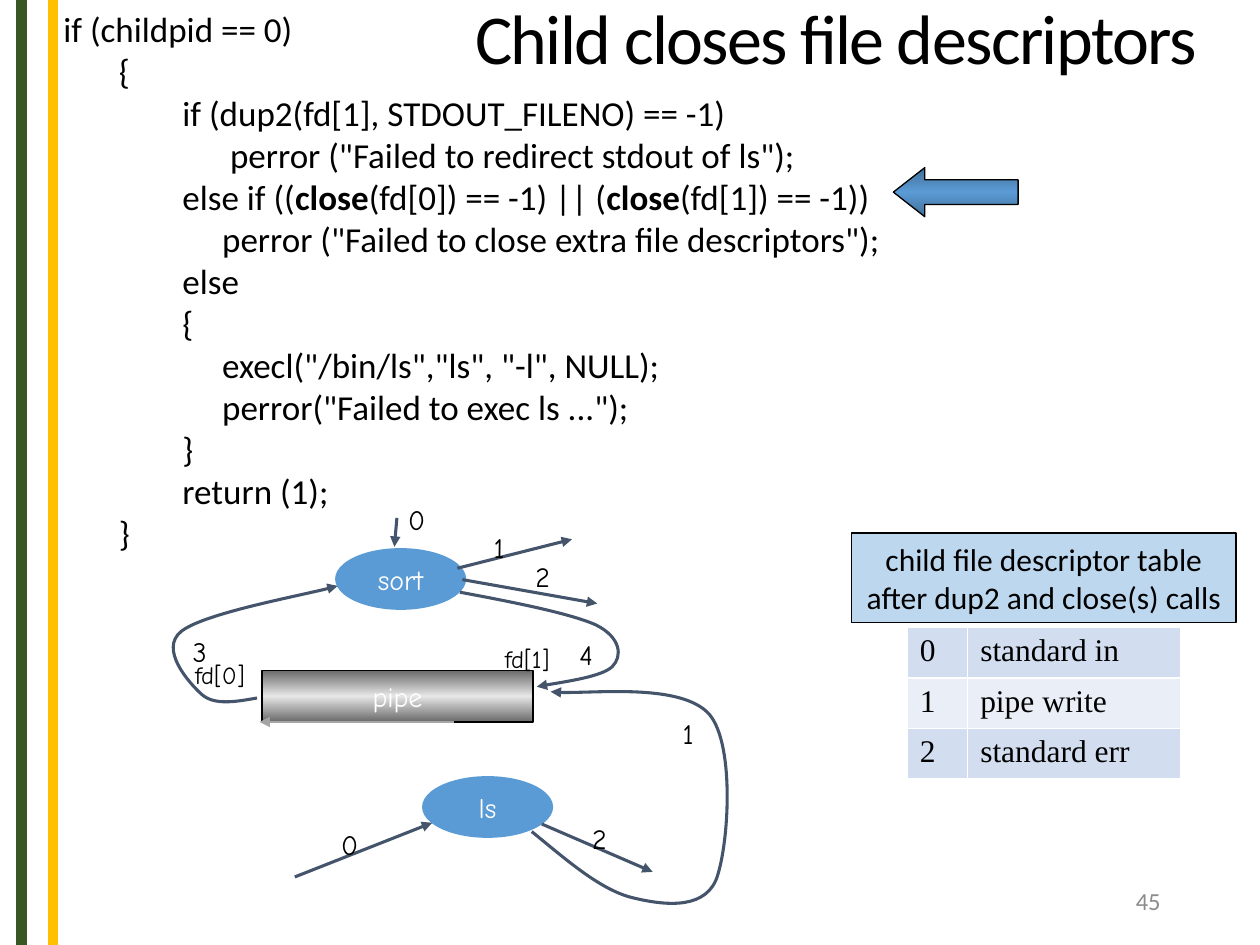
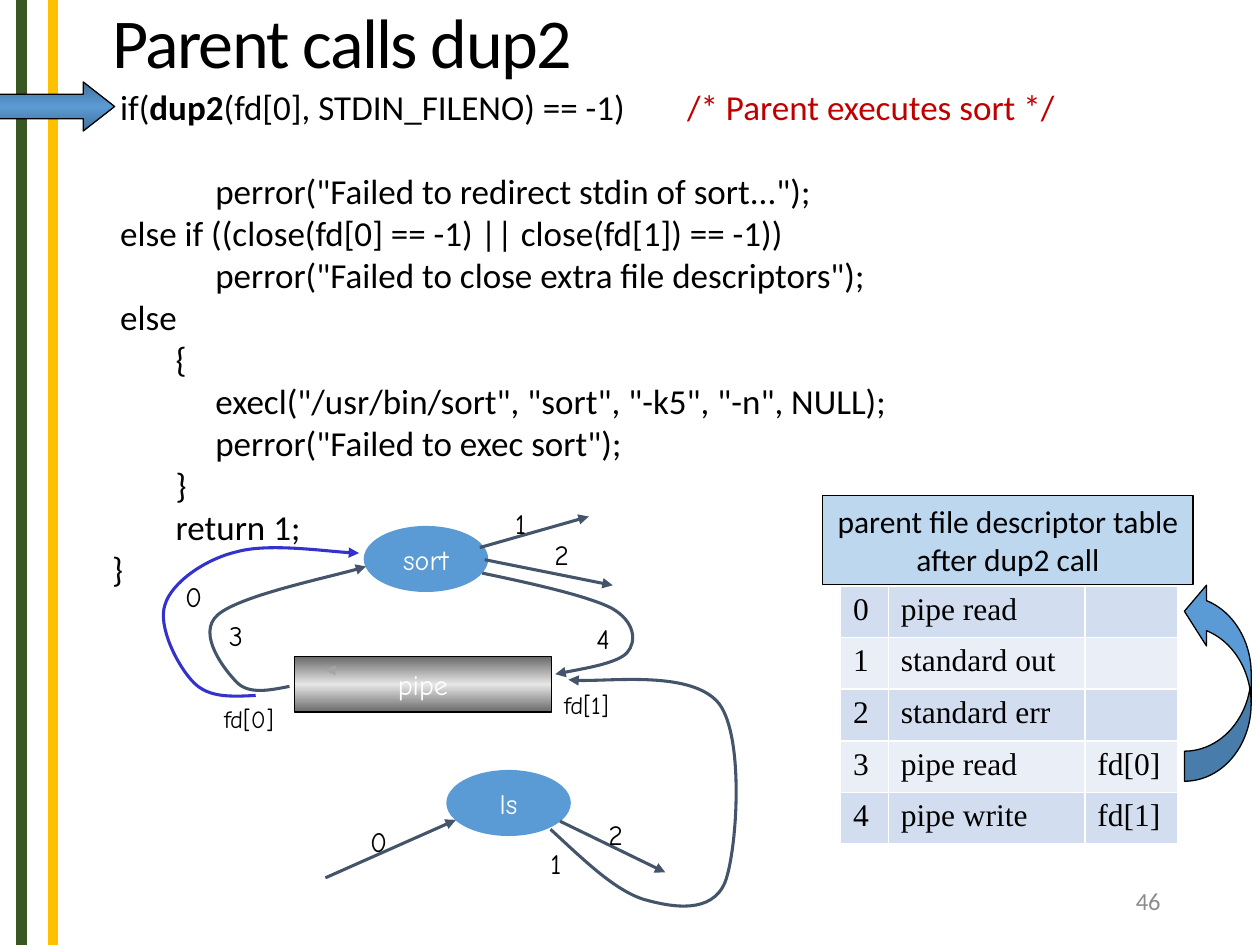
"""Build two slides on how child and parent rewire file descriptors with dup2."""
from copy import deepcopy

from lxml import etree
from pptx import Presentation
from pptx import util as u
from pptx.dml.color import RGBColor
from pptx.enum import shapes, text
from pptx.oxml.ns import qn

BLACK, WHITE, BLUE, SLATE, GREY = "000000", "FFFFFF", "5B9BD5", "44546A", "A5A5A5"
STEEL, PIPE_DARK, PIPE_LIGHT = "416F98", "6B6A6A", "E7E6E6"
CAPTION_FILL, COMMENT_RED, NUMBER_GREY, READ_BLUE = "BDD7EE", "C00000", "8C8C8C", "3333CC"
ROW_FILLS = ["D2DEEF", "EAEFF7"]
BANDS = [(0.17, "385723"), (0.42, "FFC000")]
SANS, HAND, SERIF = "Calibri", "Comic Neue", "Times New Roman"
INDENT_UNIT = 0.063
CODE_LINE = 24

# Diagram parts common to both slides, in the coordinates of the first one.
PROCESSES = [("sort", 2.66, 4.35), ("ls", 3.35, 6.16)]
PROCESS_SIZE = (1.04, 0.49)
PIPE = (2.08, 5.32, 2.15, 0.41)
STREAMS = [
    ((2.34, 6.96), (3.43, 6.53)),
    ((4.3, 6.54), (5.18, 6.92)),
    ((3.63, 4.51), (4.54, 4.28)),
    ((3.67, 4.6), (4.74, 4.79)),
]
PIPE_STREAMS = [
    [(2.04, 5.54), (1.87, 5.57), (1.7, 5.6), (1.6, 5.51), (1.5, 5.42), (1.26, 5.15),
     (1.44, 5.01), (1.62, 4.87), (2.48, 4.71), (2.68, 4.65)],
    [(3.65, 4.7), (4.08, 4.78), (4.53, 4.87), (4.73, 4.96), (4.93, 5.06), (4.94, 5.21),
     (4.86, 5.29), (4.78, 5.37), (4.36, 5.43), (4.26, 5.45)],
    [(4.22, 6.6), (4.49, 6.82), (4.75, 7.05), (5, 7.12), (5.24, 7.18), (5.57, 7.23),
     (5.68, 6.99), (5.78, 6.75), (5.84, 5.92), (5.63, 5.67), (5.41, 5.42), (4.58, 5.52),
     (4.37, 5.49)],
]
STREAM_NUMBERS = [("0", 2.61, 6.52), ("2", 4.6, 6.47), ("3", 1.43, 4.99),
                  ("1", 3.82, 4.16), ("2", 4.15, 4.39), ("4", 4.5, 5.01)]

# Code lines are (indent in characters, text); backticks enclose bold words.
SLIDES = [
    {
        "title": "Child closes file descriptors", "title_at": (3.67, -0.28, 6.33, 1.25),
        "code_at": (0.34, 0.01, 7, 4.81),
        "code": [
            (1, "if (childpid == 0)"),
            (8, "{"),
            (16, "if (dup2(fd[1], STDOUT_FILENO) == -1)"),
            (22, 'perror ("Failed to redirect stdout of ls");'),
            (16, "else if ((`close`(fd[0]) == -1) || (`close`(fd[1]) == -1))"),
            (21, 'perror ("Failed to close extra file descriptors");'),
            (16, "else"),
            (16, "{"),
            (21, 'execl("/bin/ls","ls", "-l", NULL);'),
            (21, 'perror("Failed to exec ls ...");'),
            (16, "}"),
            (16, "return (1);"),
            (8, "}"),
        ],
        "gap_before": None,
        "marker_at": (7.09, 1.33, 0.99, 0.39), "marker_turn": 0,
        "caption": "child file descriptor table\nafter dup2 and close(s) calls",
        "caption_at": (6.76, 4.23, 3.05, 0.71),
        "descriptors": [("0", "standard in"), ("1", "pipe write"), ("2", "standard err")],
        "table_at": (7.2, 4.98), "columns": [0.48, 1.69], "row": 0.4,
        "scale": (1, 1), "shift": (0, 0),
        "numbers": [("0", 3.14, 3.94), ("1", 5.32, 5.64)],
        "ends": [("fd[0]", 1.45, 5.19), ("fd[1]", 3.91, 5.06)],
        "inputs": [((3.15, 4.11), (3.13, 4.34))],
        "flow": ((3.6, 5.73), (2.06, 5.73)),
        "redirected": [], "copy_at": None, "number": "45",
    },
    {
        "title": "Parent calls dup2", "title_at": (0.79, -0.25, 7.71, 1.25),
        "code_at": (0.79, 0.63, 8.33, 4.1),
        "code": [
            (1, "if(`dup2`(fd[0], STDIN_FILENO) == -1)`\t/* Parent executes sort */"),
            (13, 'perror("Failed to redirect stdin of sort...");'),
            (1, "else if ((close(fd[0] == -1) || close(fd[1]) == -1))"),
            (13, 'perror("Failed to close extra file descriptors");'),
            (1, "else"),
            (8, "{"),
            (13, 'execl("/usr/bin/sort", "sort", "-k5", "-n", NULL);'),
            (13, 'perror("Failed to exec sort");'),
            (8, "}"),
            (8, "return 1;"),
            (0, "}"),
        ],
        "gap_before": 1,
        "marker_at": (-0.08, 0.65, 0.99, 0.39), "marker_turn": 180,
        "caption": "parent file descriptor table\nafter dup2 call",
        "caption_at": (6.53, 3.93, 2.94, 0.71),
        "descriptors": [("0", "pipe read", ""), ("1", "standard out", ""),
                        ("2", "standard err", ""), ("3", "pipe read", "fd[0]"),
                        ("4", "pipe write", "fd[1]")],
        "table_at": (6.67, 4.65), "columns": [0.38, 1.56, 0.74], "row": 0.41,
        "scale": (0.95, 1.07), "shift": (0.36, -0.48),
        "numbers": [("0", 1.37, 4.55), ("1", 4.27, 6.67)],
        "ends": [("fd[0]", 1.68, 5.54), ("fd[1]", 4.38, 5.43)],
        "inputs": [],
        "flow": ((4.11, 5.32), (2.58, 5.32)),
        "redirected": [[(2.03, 5.52), (1.84, 5.53), (1.66, 5.54), (1.54, 5.42), (1.41, 5.29),
                        (1.25, 4.97), (1.31, 4.8), (1.36, 4.63), (1.62, 4.44), (1.88, 4.38),
                        (2.13, 4.31), (2.69, 4.39), (2.85, 4.39)]],
        "copy_at": (9.4, 4.61, 0.53, 1.59), "number": "46",
    },
]


def rgb(color):
    return RGBColor.from_string(color)


def inches(values):
    return [u.Inches(value) for value in values]


def place(holder, at):
    holder.left, holder.top, holder.width, holder.height = inches(at)


def style(frame, size, font, color, align=text.PP_ALIGN.LEFT):
    for paragraph in frame.paragraphs:
        paragraph.alignment = align
        for face in [paragraph.font] + [run.font for run in paragraph.runs]:
            face.size, face.name, face.bold = u.Pt(size), font, False
            face.color.rgb = rgb(color)


def add_arrowhead(line_shape):
    etree.SubElement(line_shape._element.spPr.find(qn("a:ln")), qn("a:tailEnd"), type="triangle")


def add_line(slide, start, end, color, width, arrow=True):
    line = slide.shapes.add_connector(shapes.MSO_CONNECTOR.STRAIGHT, *inches(start + end))
    line.line.color.rgb, line.line.width = rgb(color), u.Pt(width)
    etree.SubElement(line._element.spPr, qn("a:effectLst"))
    if arrow:
        add_arrowhead(line)
    return line


def add_curve(slide, points, color):
    start, *rest = [inches(point) for point in points]
    builder = slide.shapes.build_freeform(*start)
    builder.add_line_segments(rest, close=False)
    curve = builder.convert_to_shape()
    segments = list(curve._element.iter(qn("a:lnTo")))
    outline = segments[0].getparent()
    for first in range(0, len(segments), 3):
        bezier = etree.SubElement(outline, qn("a:cubicBezTo"))
        for segment in segments[first:first + 3]:
            bezier.append(segment[0])
            outline.remove(segment)
    curve.fill.background()
    curve.shadow.inherit = False
    curve.line.color.rgb, curve.line.width = rgb(color), u.Pt(1.75)
    add_arrowhead(curve)


def add_block(slide, kind, at, fill, edge=None, outlined=True):
    block = slide.shapes.add_shape(kind, *inches(at))
    block.shadow.inherit = False
    if edge:
        block.fill.gradient()
        block.fill.gradient_angle = 90
        for stop, color in zip(block.fill.gradient_stops, (edge, fill)):
            stop.color.rgb = rgb(color)
        stops = next(block._element.iter(qn("a:gsLst")))
        stops.append(deepcopy(stops[0]))
        for stop, position in zip(block.fill.gradient_stops, (0, 0.5, 1)):
            stop.position = position
    else:
        block.fill.solid()
        block.fill.fore_color.rgb = rgb(fill)
    if outlined:
        block.line.color.rgb, block.line.width = rgb(BLACK), u.Pt(0.75)
    else:
        block.line.fill.background()
    return block


def write_inside(block, words, size, font, color):
    frame = block.text_frame
    frame.text, frame.word_wrap = words, False
    frame.margin_top = frame.margin_bottom = 0
    frame.vertical_anchor = text.MSO_ANCHOR.MIDDLE
    style(frame, size, font, color, text.PP_ALIGN.CENTER)


def add_label(slide, words, x, y, size):
    label = slide.shapes.add_textbox(*inches((x, y, 0.2 + 0.12 * len(words), 0.33)))
    label.text_frame.text, label.text_frame.word_wrap = words, False
    style(label.text_frame, size, HAND, BLACK)


def add_title(slide, content):
    place(slide.shapes.title, content["title_at"])
    frame = slide.shapes.title.text_frame
    frame.text, frame.auto_size = content["title"], text.MSO_AUTO_SIZE.NONE
    frame.vertical_anchor = text.MSO_ANCHOR.MIDDLE
    style(frame, 40, SANS, BLACK)
    frame.paragraphs[0].line_spacing = 0.85
    frame.paragraphs[0].runs[0].font._element.set("spc", "-90")


def add_code(slide, content):
    body = slide.placeholders[1]
    place(body, content["code_at"])
    frame = body.text_frame
    frame.word_wrap, frame.auto_size = True, text.MSO_AUTO_SIZE.NONE
    for index, (indent, line) in enumerate(content["code"]):
        paragraph = frame.add_paragraph() if index else frame.paragraphs[0]
        pieces = line.split("`")
        for piece in pieces:
            paragraph.add_run().text = piece
        paragraph.space_before = u.Pt(CODE_LINE if index == content["gap_before"] else 0)
        properties = paragraph._p.get_or_add_pPr()
        properties.set("marL", str(u.Inches(indent * INDENT_UNIT)))
        properties.set("indent", "0")
        etree.SubElement(properties, qn("a:buNone"))
        if "\t" in line:
            tabs = etree.SubElement(properties, qn("a:tabLst"))
            etree.SubElement(tabs, qn("a:tab"), pos=str(u.Inches(4.36)), algn="l")
    style(frame, 20, SANS, BLACK)
    for paragraph in frame.paragraphs:
        for index, run in enumerate(paragraph.runs):
            if run.text.startswith("\t"):
                run.font.color.rgb = rgb(COMMENT_RED)
            else:
                run.font.bold = index % 2 == 1


def add_diagram(slide, content):
    (scale_x, scale_y), (shift_x, shift_y) = content["scale"], content["shift"]

    def fit(x, y):
        return shift_x + scale_x * x, shift_y + scale_y * y

    def fit_box(x, y, width, height):
        return fit(x, y) + (scale_x * width, scale_y * height)

    pipe = add_block(slide, shapes.MSO_SHAPE.RECTANGLE, fit_box(*PIPE), PIPE_LIGHT, PIPE_DARK)
    write_inside(pipe, "pipe", 16, HAND, WHITE)
    for name, x, y in PROCESSES:
        process = add_block(slide, shapes.MSO_SHAPE.OVAL, fit_box(x, y, *PROCESS_SIZE),
                            BLUE, outlined=False)
        write_inside(process, name, 16, HAND, WHITE)
    for start, end in [(fit(*a), fit(*b)) for a, b in STREAMS] + content["inputs"]:
        add_line(slide, start, end, SLATE, 1.75)
    for points in PIPE_STREAMS:
        add_curve(slide, [fit(*point) for point in points], SLATE)
    for points in content["redirected"]:
        add_curve(slide, points, READ_BLUE)
    for digit, x, y in [(d, *fit(x, y)) for d, x, y in STREAM_NUMBERS] + content["numbers"]:
        add_label(slide, digit, x, y, 16)
    for end, x, y in content["ends"]:
        add_label(slide, end, x, y, 14)
    add_line(slide, *content["flow"], GREY, 0.75)


def add_descriptors(slide, content):
    rows, columns, height = content["descriptors"], content["columns"], content["row"]
    at = content["table_at"] + (sum(columns), height * len(rows))
    table = slide.shapes.add_table(len(rows), len(columns), *inches(at)).table
    table.first_row = False
    for column, width in zip(table.columns, columns):
        column.width = u.Inches(width)
    for index, (row, values) in enumerate(zip(table.rows, rows)):
        row.height = u.Inches(height)
        for cell, value in zip(row.cells, values):
            cell.text = value
            cell.fill.solid()
            cell.fill.fore_color.rgb = rgb(ROW_FILLS[index % 2])
            style(cell.text_frame, 18, SERIF, BLACK)


def add_number(slide, number):
    frame = slide.shapes.add_textbox(*inches((7.06, 6.95, 2.25, 0.4))).text_frame
    frame.text, frame.word_wrap = number, True
    frame.vertical_anchor = text.MSO_ANCHOR.MIDDLE
    style(frame, 14, SANS, NUMBER_GREY, text.PP_ALIGN.RIGHT)


def add_bands(deck, slide):
    for x, color in BANDS:
        band = add_line(slide, (x, 0), (x, 7.5), color, 6, arrow=False)
        deck.slide_master.shapes._spTree.append(band._element)


def main():
    deck = Presentation()
    deck.slide_width, deck.slide_height = inches((10, 7.5))
    for content in SLIDES:
        slide = deck.slides.add_slide(deck.slide_layouts[1])
        add_title(slide, content)
        add_code(slide, content)
        caption = add_block(slide, shapes.MSO_SHAPE.RECTANGLE, content["caption_at"], CAPTION_FILL)
        write_inside(caption, content["caption"], 18, SANS, BLACK)
        marker = add_block(slide, shapes.MSO_SHAPE.LEFT_ARROW, content["marker_at"], BLUE, STEEL)
        marker.adjustments[1] = 0.64
        marker.rotation = content["marker_turn"]
        add_diagram(slide, content)
        add_descriptors(slide, content)
        if content["copy_at"]:
            arrow = add_block(slide, shapes.MSO_SHAPE.CURVED_RIGHT_ARROW, content["copy_at"], BLUE)
            arrow.rotation = 180
            for index, share in enumerate((0.45, 0.91, 0.33)):
                arrow.adjustments[index] = share
        add_number(slide, content["number"])
    add_bands(deck, deck.slides[0])
    deck.save("out.pptx")


if __name__ == "__main__":
    main()
